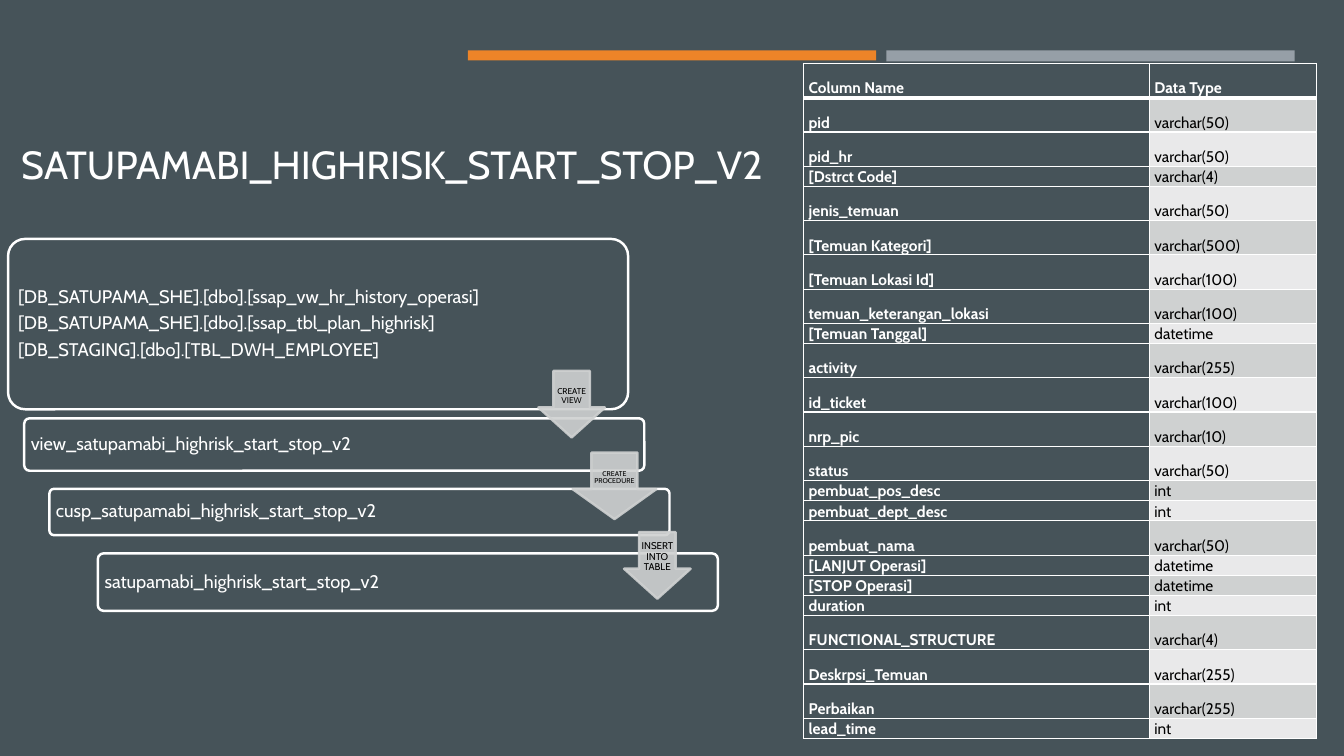
from typing import NamedTuple

from lxml import etree
from pptx import Presentation
from pptx.dml.color import RGBColor
from pptx.enum.shapes import MSO_SHAPE
from pptx.enum.text import MSO_ANCHOR, PP_ALIGN
from pptx.oxml.ns import qn
from pptx.util import Inches, Pt

RECTANGLE = MSO_SHAPE.RECTANGLE
ROUNDED = MSO_SHAPE.ROUNDED_RECTANGLE
DOWN_ARROW = MSO_SHAPE.DOWN_ARROW
LEFT, CENTER = PP_ALIGN.LEFT, PP_ALIGN.CENTER
MIDDLE, BOTTOM = MSO_ANCHOR.MIDDLE, MSO_ANCHOR.BOTTOM

FONT = "Cabin"
SLATE, WHITE, BLACK = "465359", "FFFFFF", "000000"
ORANGE, GREY = "ED8428", "969FA7"
BAND_DARK, BAND_LIGHT = "CFD1D1", "E9E9EA"
TALL, SHORT = 0.34, 0.2


class Bar(NamedTuple):
    left: float
    height: float
    color: str


class Stage(NamedTuple):
    left: float
    top: float
    height: float
    lines: list[str]


class Action(NamedTuple):
    left: float
    top: float
    width: float
    label: str
    size: float


class Column(NamedTuple):
    name: str
    data_type: str
    height: float = TALL


BARS = [Bar(8.79, 0.11, GREY), Bar(4.64, 0.1, ORANGE)]

STAGES = [
    Stage(0.08, 2.37, 1.69, [
        "[DB_SATUPAMA_SHE].[dbo].[ssap_vw_hr_history_operasi]",
        "[DB_SATUPAMA_SHE].[dbo].[ssap_tbl_plan_highrisk]",
        "[DB_STAGING].[dbo].[TBL_DWH_EMPLOYEE]",
    ]),
    Stage(0.24, 4.15, 0.52, ["view_satupamabi_highrisk_start_stop_v2"]),
    Stage(0.49, 4.85, 0.46, ["cusp_satupamabi_highrisk_start_stop_v2"]),
    Stage(0.97, 5.49, 0.57, ["satupamabi_highrisk_start_stop_v2"]),
]

ACTIONS = [
    Action(5.34, 3.68, 0.66, "CREATE VIEW", 6),
    Action(5.68, 4.49, 0.83, "CREATE PROCEDURE", 5),
    Action(6.19, 5.28, 0.66, "INSERT INTO TABLE", 7),
]

COLUMNS = [
    Column("Column Name", "Data Type"),
    Column("pid", "varchar(50)"),
    Column("pid_hr", "varchar(50)"),
    Column("[Dstrct Code]", "varchar(4)", SHORT),
    Column("jenis_temuan", "varchar(50)"),
    Column("[Temuan Kategori]", "varchar(500)"),
    Column("[Temuan Lokasi Id]", "varchar(100)"),
    Column("temuan_keterangan_lokasi", "varchar(100)"),
    Column("[Temuan Tanggal]", "datetime", SHORT),
    Column("activity", "varchar(255)"),
    Column("id_ticket", "varchar(100)"),
    Column("nrp_pic", "varchar(10)"),
    Column("status", "varchar(50)"),
    Column("pembuat_pos_desc", "int", SHORT),
    Column("pembuat_dept_desc", "int", SHORT),
    Column("pembuat_nama", "varchar(50)"),
    Column("[LANJUT Operasi]", "datetime", SHORT),
    Column("[STOP Operasi]", "datetime", SHORT),
    Column("duration", "int", SHORT),
    Column("FUNCTIONAL_STRUCTURE", "varchar(4)"),
    Column("Deskrpsi_Temuan", "varchar(255)"),
    Column("Perbaikan", "varchar(255)"),
    Column("lead_time", "int", SHORT),
]


def set_fill(fill, color: str) -> None:
    fill.solid()
    fill.fore_color.rgb = RGBColor.from_string(color)


def write_text(frame, lines: list[str], *, size: float, color: str = WHITE, bold: bool = False,
               align=LEFT, anchor=MIDDLE, inset: float | None = None,
               spacing: float = 1.0, after: float = 0) -> None:
    frame.word_wrap = True
    frame.vertical_anchor = anchor
    if inset is not None:
        frame.margin_left = frame.margin_right = Inches(inset)
        frame.margin_top = frame.margin_bottom = Inches(inset)
    for index, line in enumerate(lines):
        para = frame.add_paragraph() if index else frame.paragraphs[0]
        para.alignment = align
        para.line_spacing = spacing
        para.space_before = Pt(0)
        para.space_after = Pt(after)
        span = para.add_run()
        span.text = line
        span.font.name = FONT
        span.font.size = Pt(size)
        span.font.bold = bold
        span.font.color.rgb = RGBColor.from_string(color)


def add_block(page, kind, left: float, top: float, width: float, height: float,
              fill: str, line: str | None = None):
    shape = page.shapes.add_shape(kind, Inches(left), Inches(top), Inches(width), Inches(height))
    shape.shadow.inherit = False
    set_fill(shape.fill, fill)
    if line:
        set_fill(shape.line.fill, line)
        shape.line.width = Pt(1.75)
    else:
        shape.line.fill.background()
    return shape


def add_stage(page, stage: Stage) -> None:
    box = add_block(page, ROUNDED, stage.left, stage.top, 6.15, stage.height, SLATE, WHITE)
    box.adjustments[0] = 0.1
    write_text(box.text_frame, stage.lines, size=13, inset=0.05, spacing=0.9, after=4.55)


def add_action(page, action: Action) -> None:
    arrow = add_block(page, DOWN_ARROW, action.left, action.top, action.width, 0.66,
                      BAND_DARK, BAND_DARK)
    arrow.adjustments[0], arrow.adjustments[1] = 0.55, 0.45
    for color in arrow.element.spPr.iter(qn("a:srgbClr")):
        etree.SubElement(color, qn("a:alpha"), val="90000")
    write_text(arrow.text_frame, [action.label], size=action.size, color=BLACK,
               align=CENTER, inset=0.01, spacing=0.9, after=action.size * 0.35)


def set_borders(cell, bottom: float) -> None:
    properties = cell._tc.get_or_add_tcPr()
    for side, width in {"L": 1, "R": 1, "T": 1, "B": bottom}.items():
        border = etree.SubElement(properties, qn(f"a:ln{side}"), w=str(Pt(width)))
        solid = etree.SubElement(border, qn("a:solidFill"))
        etree.SubElement(solid, qn("a:srgbClr"), val=WHITE)


def add_column_table(page, columns: list[Column]) -> None:
    height = sum(column.height for column in columns)
    table = page.shapes.add_table(len(columns), 2, Inches(7.97), Inches(0.63),
                                  Inches(5.09), Inches(height)).table
    table.horz_banding = False
    table.columns[0].width, table.columns[1].width = Inches(3.43), Inches(1.66)
    for row, column in enumerate(columns):
        table.rows[row].height = Inches(column.height)
        band = BAND_DARK if row % 2 else BAND_LIGHT
        for index, text in enumerate((column.name, column.data_type)):
            heading = row == 0 or index == 0
            cell = table.cell(row, index)
            cell.margin_left = cell.margin_right = Inches(0.05)
            cell.margin_top = cell.margin_bottom = 0
            cell.vertical_anchor = BOTTOM
            set_borders(cell, 3 if row == 0 else 1)
            set_fill(cell.fill, SLATE if heading else band)
            write_text(cell.text_frame, [text], size=11, color=WHITE if heading else BLACK,
                       bold=heading, anchor=BOTTOM, spacing=1.07)


def main() -> None:
    deck = Presentation()
    deck.slide_width, deck.slide_height = Inches(13.33), Inches(7.5)
    page = deck.slides.add_slide(deck.slide_layouts[5])
    set_fill(page.background.fill, SLATE)

    # Header bars and title
    for bar in BARS:
        add_block(page, RECTANGLE, bar.left, 0.5, 4.05, bar.height, bar.color)
    title = page.shapes.title
    title.left, title.top = Inches(0.11), Inches(0.8)
    title.width, title.height = Inches(12.06), Inches(1.11)
    write_text(title.text_frame, ["SATUPAMABI_HIGHRISK_START_STOP_V2"], size=28, anchor=BOTTOM)

    # Data flow, with the arrows above the boxes
    for stage in STAGES:
        add_stage(page, stage)
    for action in ACTIONS:
        add_action(page, action)

    # Column list
    add_column_table(page, COLUMNS)
    deck.save("out.pptx")


if __name__ == "__main__":
    main()
